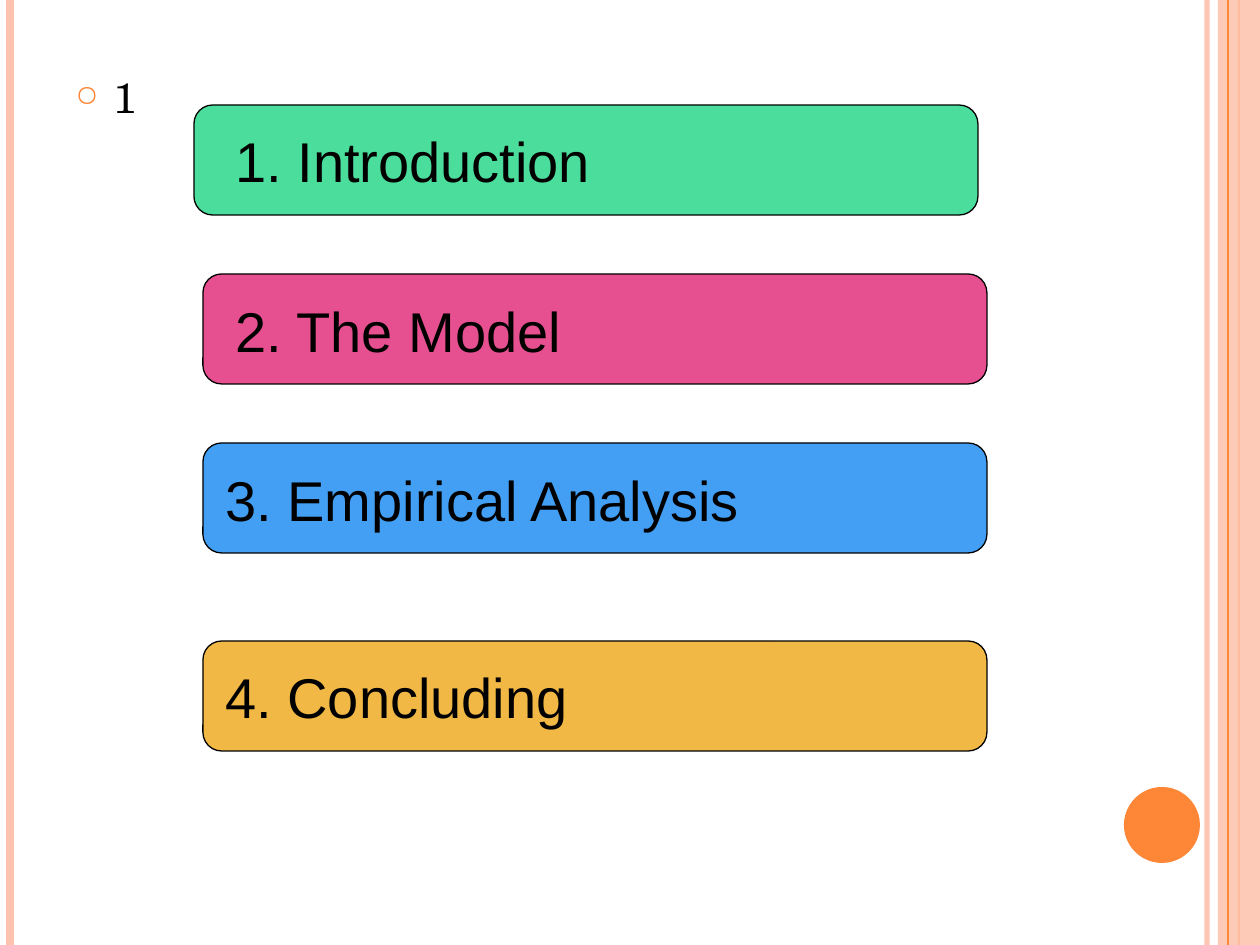
from lxml.etree import SubElement
from pptx import Presentation
from pptx.dml.color import RGBColor
from pptx.enum.shapes import MSO_CONNECTOR, MSO_SHAPE
from pptx.oxml.ns import qn
from pptx.util import Emu, Pt

PX_PER_INCH = 126
PAGE_WIDTH, PAGE_HEIGHT = 1260, 945

BLACK = RGBColor(0x00, 0x00, 0x00)
PEACH = RGBColor(0xFE, 0xC3, 0xAE)
ORANGE = RGBColor(0xFE, 0x86, 0x37)
GREEN = RGBColor(0x4B, 0xDD, 0x9B)
PINK = RGBColor(0xE6, 0x50, 0x90)
BLUE = RGBColor(0x42, 0x9F, 0xF4)
YELLOW = RGBColor(0xF1, 0xB8, 0x45)

BAR_WIDTH, BAR_HEIGHT = 784, 110
LABEL_HEIGHT = 81
# label, colour, bar left, bar top, label left, label width
SECTIONS = [
    ("1. Introduction", GREEN, 194, 105, 223, 605),
    ("2. The Model", PINK, 203, 274, 223, 596),
    ("3. Empirical Analysis", BLUE, 203, 443, 213, 684),
    ("4. Concluding", YELLOW, 203, 641, 213, 704),
]


def px(length):
    return Emu(round(length * 914400 / PX_PER_INCH))


def apply_format(target, values):
    for name, value in values.items():
        setattr(target, name, value)


def set_opacity(fill_element, percent):
    color = fill_element.find(".//" + qn("a:srgbClr"))
    SubElement(color, qn("a:alpha"), val=str(percent * 1000))


def add_rule(page, x, color, width, opacity=100):
    """Vertical line over the full page height."""
    rule = page.shapes.add_connector(
        MSO_CONNECTOR.STRAIGHT, px(x), 0, px(x), px(PAGE_HEIGHT))
    rule.line.color.rgb = color
    rule.line.width = Pt(width)
    properties = rule._element.spPr
    SubElement(properties, qn("a:effectLst"))
    if opacity < 100:
        set_opacity(properties, opacity)


def add_block(page, kind, left, top, width, height, color, outline=None):
    block = page.shapes.add_shape(
        kind, px(left), px(top), px(width), px(height))
    block.shadow.inherit = False
    block.fill.solid()
    block.fill.fore_color.rgb = color
    if outline is None:
        block.line.fill.background()
    else:
        block.line.color.rgb = outline
        block.line.width = Pt(0.75)
    return block


def add_text(page, text, left, top, width, height, font, size, inset_top=6):
    box = page.shapes.add_textbox(px(left), px(top), px(width), px(height))
    apply_format(box.text_frame, {"word_wrap": True, "margin_top": px(inset_top)})
    para = box.text_frame.paragraphs[0]
    span = para.add_run()
    span.text = text
    apply_format(span.font, {"name": font, "size": Pt(size)})
    span.font.color.rgb = BLACK
    return para


def add_bullet(para, character, color, percent, indent):
    properties = para._p.get_or_add_pPr()
    properties.set("marL", str(px(indent)))
    properties.set("indent", str(-px(indent)))
    bullet_color = SubElement(properties, qn("a:buClr"))
    SubElement(bullet_color, qn("a:srgbClr"), val=str(color))
    SubElement(properties, qn("a:buSzPct"), val=str(percent * 1000))
    SubElement(properties, qn("a:buChar"), char=character)


def add_frame(page):
    add_rule(page, 1207, PEACH, 3, opacity=93)
    add_rule(page, 10, PEACH, 4.5)
    add_rule(page, 1239, ORANGE, 1.5)
    band = add_block(page, MSO_SHAPE.RECTANGLE, 1218, 0, 42, PAGE_HEIGHT, PEACH)
    set_opacity(band._element.spPr, 87)
    add_rule(page, 1228, ORANGE, 0.75)
    add_block(page, MSO_SHAPE.OVAL, 1124, 787, 76, 76, ORANGE)


def main():
    deck = Presentation()
    apply_format(deck, {"slide_width": px(PAGE_WIDTH),
                        "slide_height": px(PAGE_HEIGHT)})
    page = deck.slides.add_slide(deck.slide_layouts[6])

    # Side stripes and circle
    add_frame(page)

    # Bulleted body
    body = add_text(page, "1", 63, 66, 1029, 827, "TeX Gyre Schola", 24)
    add_bullet(body, "○", ORANGE, 70, 38)

    # Section bars, then their labels
    for _, color, left, top, _, _ in SECTIONS:
        bar = add_block(page, MSO_SHAPE.ROUNDED_RECTANGLE, left, top,
                        BAR_WIDTH, BAR_HEIGHT, color, BLACK)
        bar.adjustments[0] = 0.17
    for label, _, _, top, left, width in SECTIONS:
        add_text(page, label, left, top + 10, width, LABEL_HEIGHT,
                 "Arial", 32, inset_top=12)

    deck.save("out.pptx")


if __name__ == "__main__":
    main()
